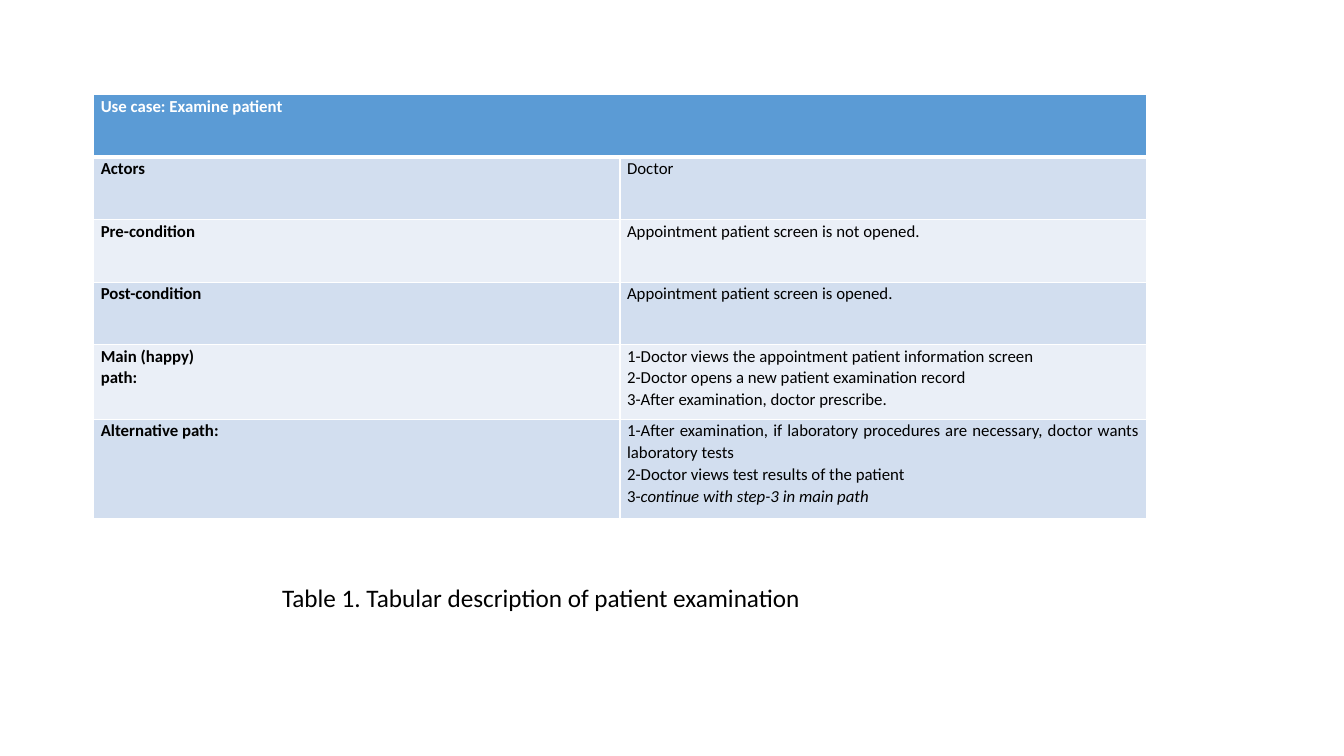
from dataclasses import dataclass

import pptx
import pptx.dml.color
import pptx.enum.text
import pptx.oxml
import pptx.oxml.ns
import pptx.util
from pptx.util import Inches


@dataclass(frozen=True)
class Theme:
    font: str = "Calibri"
    text: str = "000000"
    white: str = "FFFFFF"
    header: str = "5B9BD5"
    bands: tuple[str, str] = ("D2DEEF", "EAEFF7")
    table_size: float = 12
    caption_size: float = 18
    line_spacing: float = 1.07
    border: float = 1
    header_border: float = 3


@dataclass(frozen=True)
class UseCaseRow:
    label: tuple[str, ...]
    details: tuple[str, ...]
    height: float = 0.62
    label_align: pptx.enum.text.PP_ALIGN = pptx.enum.text.PP_ALIGN.JUSTIFY


THEME = Theme()
JUSTIFY = pptx.enum.text.PP_ALIGN.JUSTIFY
LEFT = pptx.enum.text.PP_ALIGN.LEFT
HEADER_HEIGHT = 0.62
COLUMN_WIDTH = 5.22
ITALIC_STEP = "continue with step-3 in main path"
ROWS = [
    UseCaseRow(("Actors",), ("Doctor",)),
    UseCaseRow(("Pre-condition",), ("Appointment patient screen is not opened.",)),
    UseCaseRow(("Post-condition",), ("Appointment patient screen is opened.",)),
    UseCaseRow(
        ("Main (happy)", "path:"),
        (
            "1-Doctor views the appointment patient information screen",
            "2-Doctor opens a new patient examination record",
            "3-After examination, doctor prescribe.",
        ),
        height=0.74,
    ),
    UseCaseRow(
        ("Alternative path:",),
        (
            "1-After examination, if laboratory procedures are necessary, "
            "doctor wants laboratory tests",
            "2-Doctor views test results of the patient",
            "3-" + ITALIC_STEP,
        ),
        height=0.99,
        label_align=LEFT,
    ),
]


def add_span(para, text: str, *, size: float = THEME.table_size, color: str = THEME.text,
             bold: bool = False, italic: bool = False) -> None:
    span = para.add_run()
    span.text = text
    span.font.name = THEME.font
    span.font.size = pptx.util.Pt(size)
    span.font.bold = bold
    span.font.italic = italic
    span.font.color.rgb = pptx.dml.color.RGBColor.from_string(color)


def set_border(cell, side: str, width: float) -> None:
    """Draw a solid white line on one side (L, R, T or B) of a cell."""
    namespace = pptx.oxml.ns.nsdecls("a")
    line = pptx.oxml.parse_xml(
        f'<a:ln{side} {namespace} w="{pptx.util.Pt(width)}"><a:solidFill>'
        f'<a:srgbClr val="{THEME.white}"/></a:solidFill></a:ln{side}>'
    )
    cell._tc.get_or_add_tcPr().append(line)


def format_cell(cell, fill: str, *, top: float = THEME.border,
                bottom: float = THEME.border) -> None:
    cell.margin_left = cell.margin_right = Inches(0.07)
    cell.margin_top = cell.margin_bottom = 0
    widths = {"L": THEME.border, "R": THEME.border, "T": top, "B": bottom}
    for side, width in widths.items():
        set_border(cell, side, width)
    cell.fill.solid()
    cell.fill.fore_color.rgb = pptx.dml.color.RGBColor.from_string(fill)


def write_cell(cell, lines: tuple[str, ...], *, color: str = THEME.text,
               bold: bool = False, align: pptx.enum.text.PP_ALIGN = JUSTIFY) -> None:
    frame = cell.text_frame
    for index, line in enumerate(lines):
        para = frame.add_paragraph() if index else frame.paragraphs[0]
        para.alignment = align
        para.line_spacing = THEME.line_spacing
        plain, italic, _ = line.partition(ITALIC_STEP)
        add_span(para, plain, color=color, bold=bold)
        if italic:
            add_span(para, italic, color=color, bold=bold, italic=True)


def add_use_case_table(page, title: str, rows: list[UseCaseRow]) -> None:
    heights = [HEADER_HEIGHT] + [row.height for row in rows]
    table = page.shapes.add_table(
        len(heights), 2, Inches(0.93), Inches(0.94),
        Inches(2 * COLUMN_WIDTH), Inches(sum(heights)),
    ).table
    for column in table.columns:
        column.width = Inches(COLUMN_WIDTH)
    for table_row, height in zip(table.rows, heights):
        table_row.height = Inches(height)

    for cell in table.rows[0].cells:
        format_cell(cell, THEME.header, bottom=THEME.header_border)
    table.cell(0, 0).merge(table.cell(0, 1))
    write_cell(table.cell(0, 0), (title,), color=THEME.white, bold=True)

    for index, row in enumerate(rows):
        label, details = table.rows[index + 1].cells
        top = THEME.border if index else THEME.header_border
        for cell in (label, details):
            format_cell(cell, THEME.bands[index % 2], top=top)
        write_cell(label, row.label, bold=True, align=row.label_align)
        write_cell(details, row.details)


def add_caption(page, text: str) -> None:
    box = page.shapes.add_textbox(Inches(2.7), Inches(5.73), Inches(5.4), Inches(0.4))
    box.text_frame.word_wrap = False
    box.text_frame.auto_size = pptx.enum.text.MSO_AUTO_SIZE.SHAPE_TO_FIT_TEXT
    add_span(box.text_frame.paragraphs[0], text, size=THEME.caption_size)


def main() -> None:
    deck = pptx.Presentation()
    deck.slide_width = Inches(13.33)
    deck.slide_height = Inches(7.5)
    page = deck.slides.add_slide(deck.slide_layouts.get_by_name("Blank"))
    add_caption(page, "Table 1. Tabular description of patient examination")
    add_use_case_table(page, "Use case: Examine patient", ROWS)
    deck.save("out.pptx")


if __name__ == "__main__":
    main()
